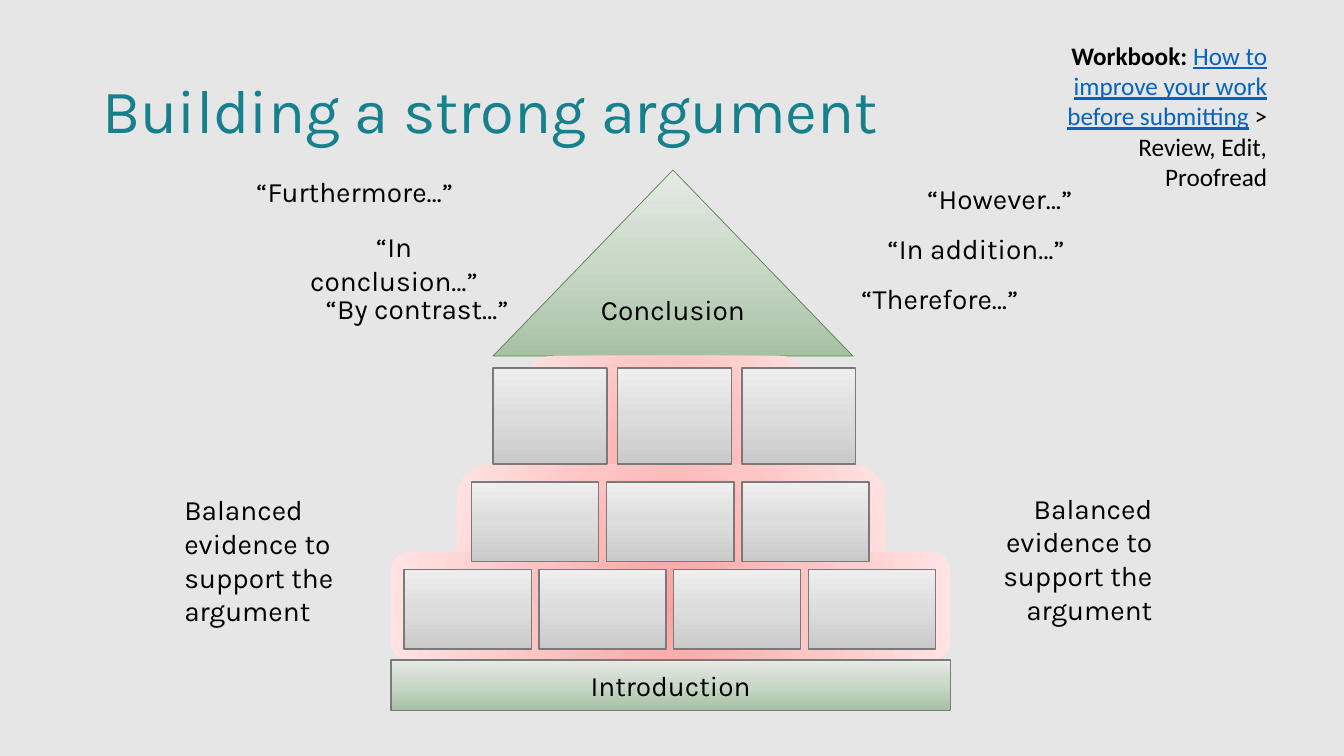
from lxml.etree import SubElement
from pptx import Presentation
from pptx.dml.color import RGBColor
from pptx.enum.shapes import MSO_SHAPE
from pptx.enum.text import MSO_ANCHOR, MSO_AUTO_SIZE, PP_ALIGN
from pptx.oxml import parse_xml
from pptx.oxml.ns import nsdecls, qn
from pptx.util import Pt

COLORS = {
    "background": "E7E6E6",
    "title": "16818D",
    "text": "000000",
    "link": "0563C1",
    "roof line": "598752",
    "brick line": "7A7A7A",
}
GRADIENTS = {
    "green": ("A7C1A4", "C9D8C7", "E5EBE4"),
    "red": ("FFA0A0", "FFC5C5", "FFE3E3"),
    "grey": ("CACACA", "DDDDDD", "EEEEEE"),
}
LEFT, CENTER, RIGHT = PP_ALIGN.LEFT, PP_ALIGN.CENTER, PP_ALIGN.RIGHT


class SlideBuilder:
    def __init__(self, page):
        self.page = page
        self.body = {"name": "Karla", "size": Pt(20), "bold": False}

    def color(self, name):
        return RGBColor.from_string(COLORS[name])

    def background(self):
        fill = self.page.background.fill
        fill.solid()
        fill.fore_color.rgb = self.color("background")

    def add_span(self, para, text, color="text", **style):
        span = para.add_run()
        span.text = text
        for key, value in {**self.body, **style}.items():
            setattr(span.font, key, value)
        span.font.color.rgb = self.color(color)

    def text(self, frame, spans, align=LEFT, line_spacing=None, **settings):
        for key, value in settings.items():
            setattr(frame, key, value)
        para = frame.paragraphs[0]
        para.alignment = align
        para.line_spacing = line_spacing
        for text, style in spans:
            self.add_span(para, text, **style)

    def label(self, at, spans, align=LEFT, wrap=True, **settings):
        box = self.page.shapes.add_textbox(*map(Pt, at))
        options = {"word_wrap": wrap, "auto_size": MSO_AUTO_SIZE.SHAPE_TO_FIT_TEXT}
        self.text(box.text_frame, spans, align, **{**options, **settings})

    def gradient(self, shape, name, radial):
        shape.fill.background()
        grad = parse_xml(f'<a:gradFill {nsdecls("a")} rotWithShape="1"/>')
        stops = SubElement(grad, qn("a:gsLst"))
        for index, color in enumerate(GRADIENTS[name]):
            stop = SubElement(stops, qn("a:gs"), pos=str(index * 50000))
            SubElement(stop, qn("a:srgbClr"), val=color)
        if radial:
            circle = SubElement(grad, qn("a:path"), {"path": "circle"})
            sides = dict.fromkeys("ltrb", "50000")
            SubElement(circle, qn("a:fillToRect"), sides)
        else:
            SubElement(grad, qn("a:lin"), ang="16200000", scaled="0")
        properties = shape.element.spPr
        properties.replace(properties.find(qn("a:noFill")), grad)

    def block(self, kind, at, gradient, line=None, weight=1, text=None, radial=False):
        shape = self.page.shapes.add_shape(kind, *map(Pt, at))
        shape.shadow.inherit = False
        self.gradient(shape, gradient, radial)
        if line:
            shape.line.color.rgb = self.color(line)
            shape.line.width = Pt(weight)
        else:
            shape.line.fill.background()
        if text:
            self.text(shape.text_frame, [(text, {})], CENTER,
                      vertical_anchor=MSO_ANCHOR.MIDDLE)

    def brick_row(self, count, left, top, pitch, width, height):
        for column in range(count):
            at = (left + column * pitch, top, width, height)
            self.block(MSO_SHAPE.RECTANGLE, at, "grey", "brick line")


def main():
    deck = Presentation()
    deck.slide_width, deck.slide_height = Pt(960), Pt(540)
    builder = SlideBuilder(deck.slides.add_slide(deck.slide_layouts[6]))
    builder.background()

    # Title
    title = [("Building a strong argument", {"size": Pt(44), "color": "title"})]
    builder.label((66, 28.8, 828, 104.4), title, line_spacing=0.9,
                  vertical_anchor=MSO_ANCHOR.MIDDLE, auto_size=MSO_AUTO_SIZE.NONE)

    # Roof, glow, bricks and base of the house
    builder.block(MSO_SHAPE.ISOSCELES_TRIANGLE, (352.1, 121.5, 257.2, 132.9),
                  "green", "roof line", 0.5, "Conclusion")
    for glow in ((372.2, 254.2, 208.1, 145.4), (326.2, 331.9, 306, 141.1),
                 (279.2, 394.4, 399.6, 77)):
        builder.block(MSO_SHAPE.ROUNDED_RECTANGLE, glow, "red", radial=True)
    builder.brick_row(3, 352.1, 262.8, 88.9, 81.4, 68.7)
    builder.brick_row(3, 336.9, 344.3, 96.5, 90.8, 56.9)
    builder.brick_row(4, 288.7, 406.8, 96.2, 90.8, 56.9)
    builder.block(MSO_SHAPE.RECTANGLE, (279.2, 471.4, 399.6, 36),
                  "green", "brick line", text="Introduction")

    # Evidence on both sides
    evidence = [("Balanced evidence to support the argument", {})]
    builder.label((124.6, 348.5, 165.6, 104.4), evidence)
    builder.label((664.6, 347.3, 165.6, 104.4), evidence, RIGHT)

    # Linking phrases
    for phrase, left, top, width, wrap in (
        ("“Furthermore…”", 154.1, 121, 198.7, True),
        ("“In conclusion…”", 209.5, 160.6, 144, True),
        ("“By contrast…”", 198.1, 204.5, 200, True),
        ("“However…”", 614.9, 126, 198.7, True),
        ("“In addition…”", 626.4, 162, 141.8, False),
        ("“Therefore…”", 605.5, 197.3, 131.8, False),
    ):
        builder.label((left, top, width, 31.5), [(phrase, {})], CENTER, wrap)

    # Workbook reference
    note = {"name": "Calibri", "size": Pt(18)}
    builder.label((749.5, 25.2, 162.7, 116.6), [
        ("Workbook: ", {**note, "bold": True}),
        ("How to improve your work before submitting",
         {**note, "color": "link", "underline": True}),
        (" > Review, Edit, Proofread", note),
    ], RIGHT)

    deck.save("out.pptx")


if __name__ == "__main__":
    main()
